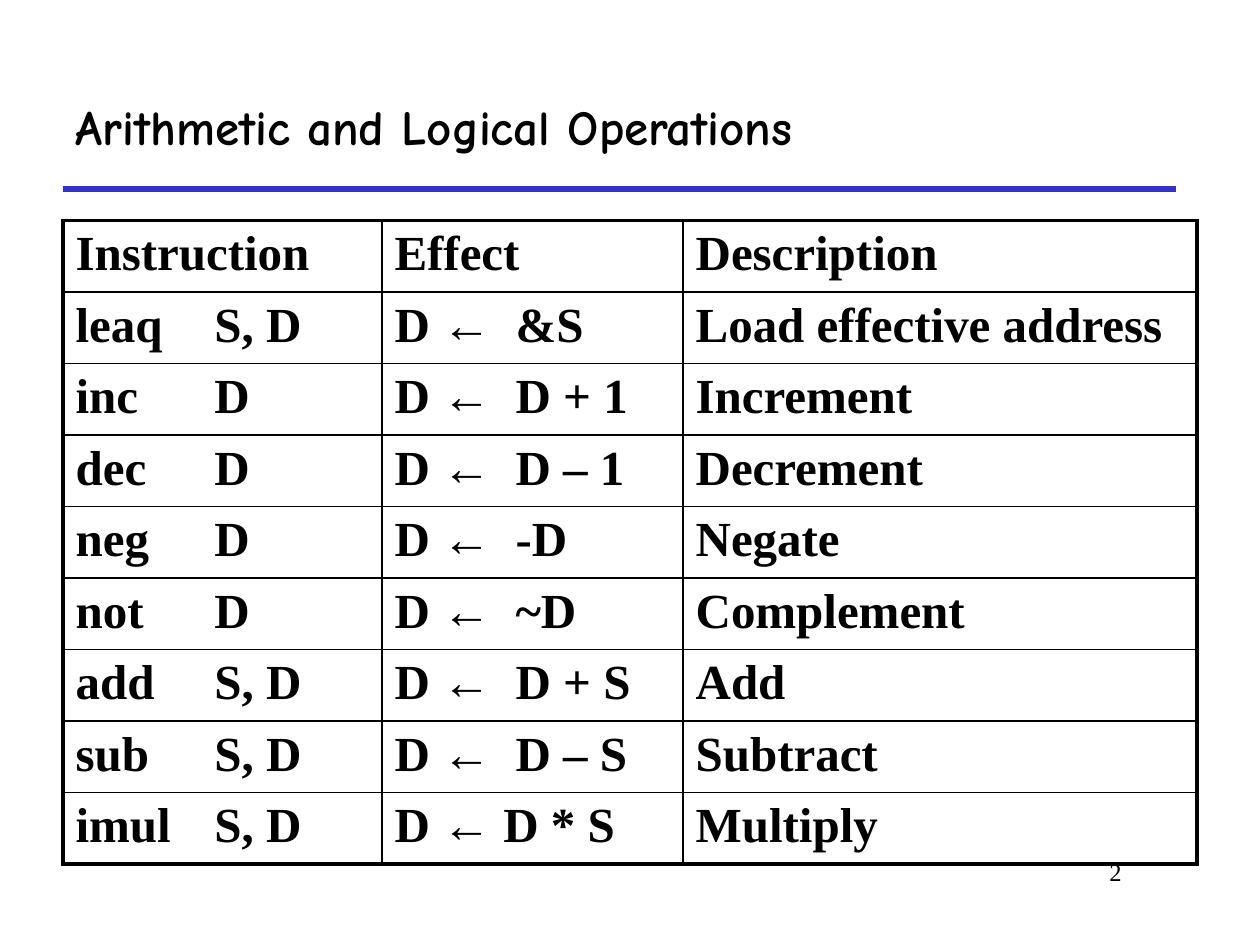
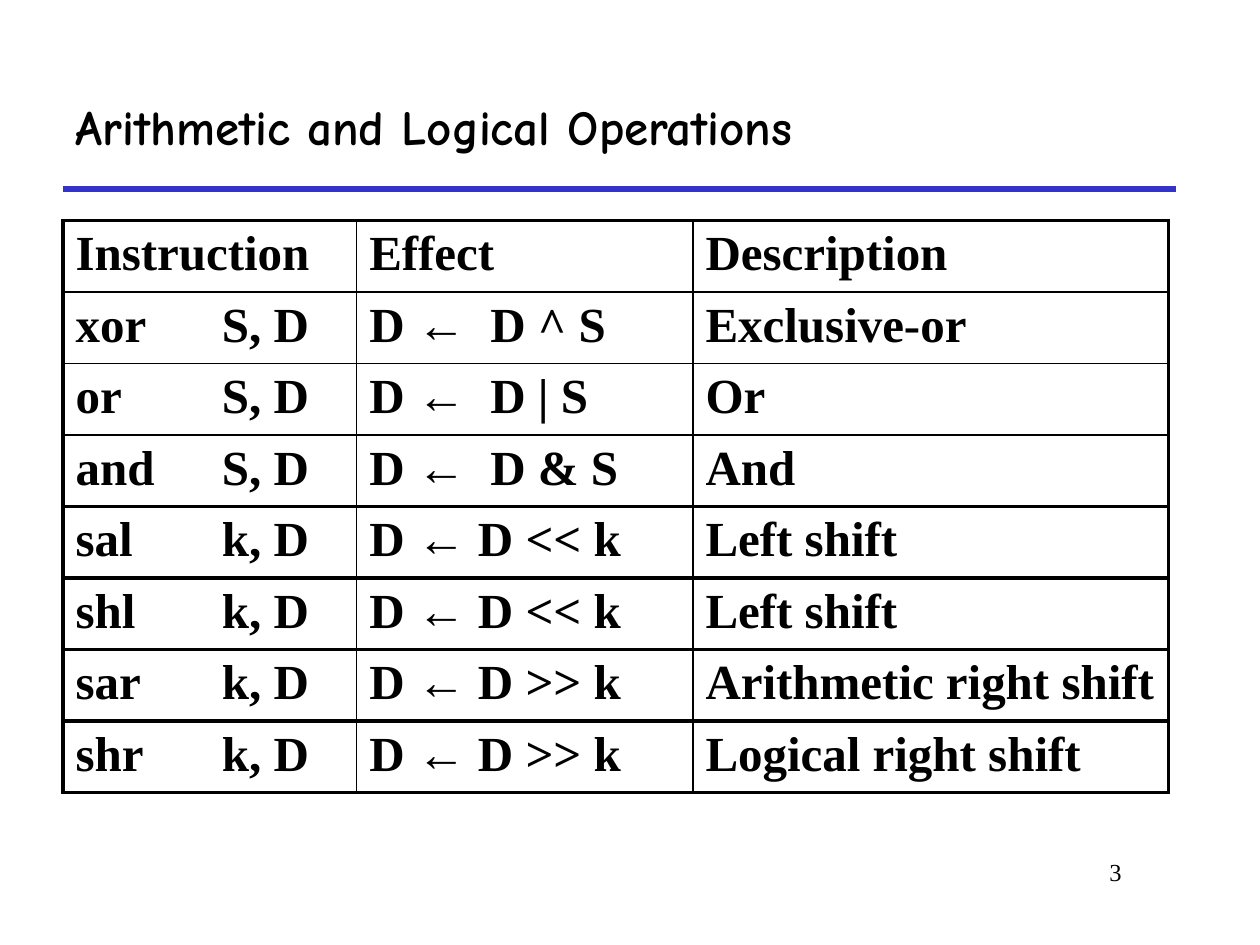
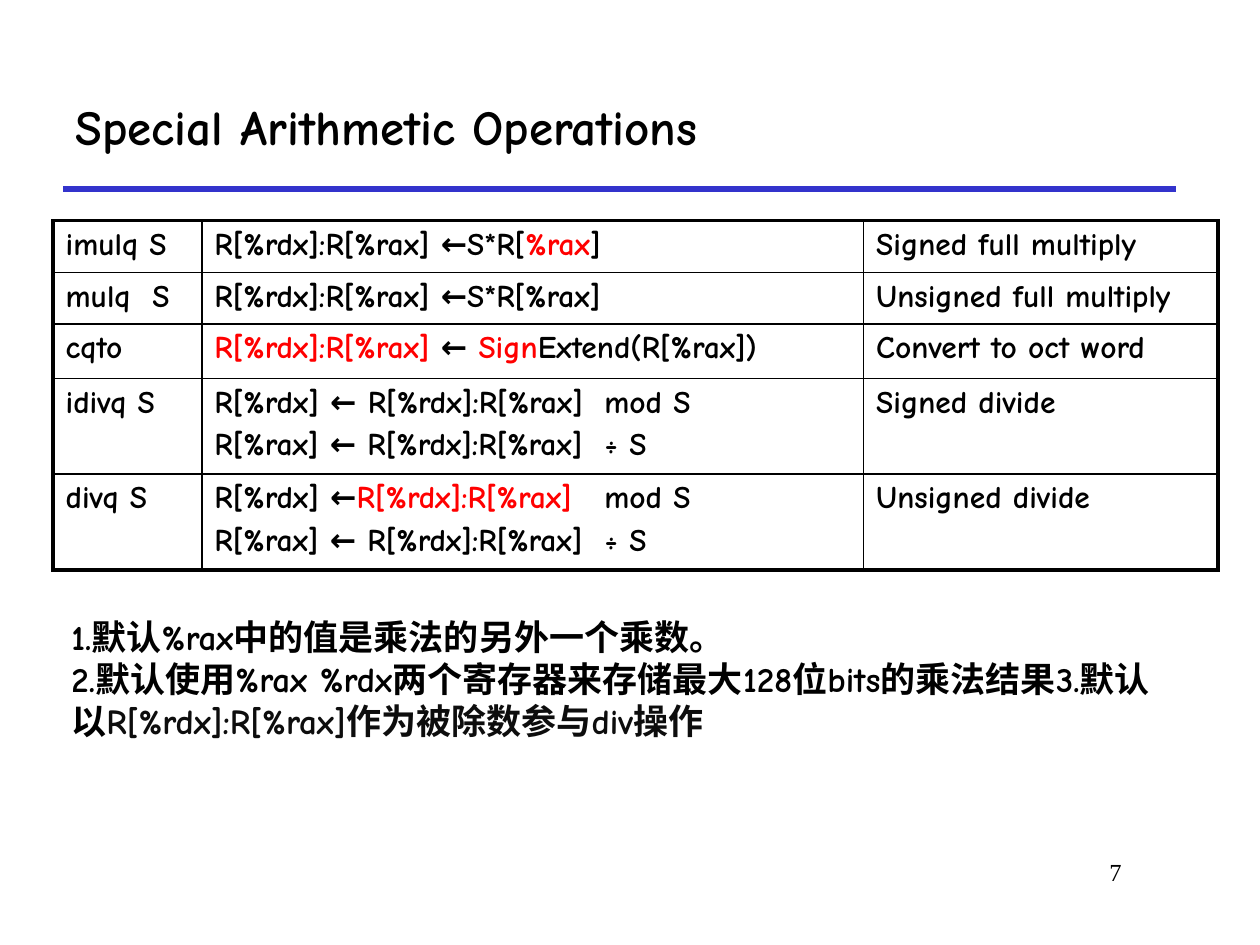
"""Build three slides on arithmetic and logical machine instructions."""
from dataclasses import dataclass

from lxml import etree
from pptx import Presentation
from pptx.dml.color import RGBColor
from pptx.enum.shapes import MSO_CONNECTOR
from pptx.enum.text import MSO_ANCHOR, MSO_AUTO_SIZE, PP_ALIGN
from pptx.oxml.ns import qn
from pptx.util import Cm, Pt

STRAIGHT = MSO_CONNECTOR.STRAIGHT
MIDDLE = MSO_ANCHOR.MIDDLE
NO_FIT = MSO_AUTO_SIZE.NONE
LEFT, RIGHT = PP_ALIGN.LEFT, PP_ALIGN.RIGHT
TITLE_ONLY = 5


@dataclass(frozen=True)
class Theme:
    ink: str = "000000"
    soft_ink: str = "0D0D0D"
    accent: str = "FF0000"
    rule: str = "3333CC"
    casual: str = "Comic Neue"
    serif: str = "Times New Roman"
    title_size: float = 28
    table_size: float = 28
    small_table_size: float = 18
    note_size: float = 20
    number_size: float = 14
    rule_width: float = 3
    heavy: float = 2.25
    thin: float = 1


THEME = Theme()


class SlideBuilder:
    def __init__(self, theme):
        self.theme = theme
        self.deck = Presentation()
        self.deck.slide_width, self.deck.slide_height = Cm(25.4), Cm(19.05)
        self.page = None

    def start_page(self, title, number):
        theme = self.theme
        self.page = self.deck.slides.add_slide(self.deck.slide_layouts[TITLE_ONLY])
        box = self.page.shapes.title
        box.left, box.top, box.width, box.height = Cm(1.27), Cm(1.27), Cm(22.43), Cm(2.54)
        frame = box.text_frame
        frame.vertical_anchor, frame.auto_size = MIDDLE, NO_FIT
        self.fill_text(frame, [title], theme.casual, theme.title_size)
        self.rule()
        self.text_box((19.25, 17.15, 3.61, 1.27), [number], theme.serif,
                      theme.number_size, bold=False, align=RIGHT)

    def rule(self):
        line = self.page.shapes.add_connector(STRAIGHT, Cm(1.27), Cm(3.81), Cm(23.7), Cm(3.81))
        line.line.color.rgb = RGBColor.from_string(self.theme.rule)
        line.line.width = Pt(self.theme.rule_width)
        etree.SubElement(line._element.spPr, qn("a:effectLst"))

    def text_box(self, place, paragraphs, font, size, bold=True, align=LEFT):
        box = self.page.shapes.add_textbox(*map(Cm, place))
        box.text_frame.word_wrap = True
        self.fill_text(box.text_frame, paragraphs, font, size, bold, align)

    def fill_text(self, frame, paragraphs, font, size, bold=True, align=LEFT, gap=0, tab=None):
        for index, spans in enumerate(paragraphs):
            para = frame.add_paragraph() if index else frame.paragraphs[0]
            para.alignment = align
            if index and gap:
                para.space_before = Pt(gap)
            if isinstance(spans, str):
                spans = [(spans, self.theme.ink)]
            if tab and any("\t" in text for text, _ in spans):
                self.set_tab(para, tab)
            for text, color in spans:
                span = para.add_run()
                span.text = text
                span.font.name, span.font.size, span.font.bold = font, Pt(size), bold
                span.font.color.rgb = RGBColor.from_string(color)

    def set_tab(self, para, position):
        stops = etree.SubElement(para._p.get_or_add_pPr(), qn("a:tabLst"))
        etree.SubElement(stops, qn("a:tab"), pos=str(Cm(position)), algn="l")

    def table(self, left, widths, heights, rows, font, size, tabs, heavy_rules=()):
        theme = self.theme
        last_row, last_column = len(rows), len(widths)
        heavy_rules = {0, last_row, *heavy_rules}
        grid = self.page.shapes.add_table(last_row, last_column, Cm(left), Cm(4.45),
                                          Cm(sum(widths)), Cm(sum(heights))).table
        grid.first_row = grid.horz_banding = False
        for column, width in zip(grid.columns, widths):
            column.width = Cm(width)
        for row, height in zip(grid.rows, heights):
            row.height = Cm(height)
        for r, values in enumerate(rows):
            for c, value in enumerate(values):
                cell = grid.cell(r, c)
                paragraphs = [value] if isinstance(value, str) else value
                self.fill_text(cell.text_frame, paragraphs, font, size, gap=size / 5, tab=tabs[c])
                edges = {"lnL": c == 0, "lnR": c + 1 == last_column,
                         "lnT": r in heavy_rules, "lnB": r + 1 in heavy_rules}
                for edge, is_heavy in edges.items():
                    self.border(cell, edge, theme.heavy if is_heavy else theme.thin)
                cell.fill.background()

    def border(self, cell, edge, width):
        line = etree.SubElement(cell._tc.get_or_add_tcPr(), qn(f"a:{edge}"), w=str(Pt(width)))
        fill = etree.SubElement(line, qn("a:solidFill"))
        etree.SubElement(fill, qn("a:srgbClr"), val=self.theme.ink)

    def operations_page(self, number, widths, rows, operand_tab, heavy_rules=()):
        self.start_page("Arithmetic and Logical Operations", number)
        rows = [("Instruction", "Effect", "Description"), *rows]
        self.table(1.27, widths, [1.44] * len(rows), rows, self.theme.serif,
                   self.theme.table_size, (operand_tab, 2.44, None), heavy_rules)


BASIC_OPERATIONS = [
    ("leaq\tS, D", "D ←\t&S", "Load effective address"),
    ("inc\tD", "D ←\tD + 1", "Increment"),
    ("dec\tD", "D ←\tD – 1", "Decrement"),
    ("neg\tD", "D ←\t-D", "Negate"),
    ("not\tD", "D ←\t~D", "Complement"),
    ("add\tS, D", "D ←\tD + S", "Add"),
    ("sub\tS, D", "D ←\tD – S", "Subtract"),
    ("imul\tS, D", "D ← D * S", "Multiply"),
]
LOGIC_AND_SHIFTS = [
    ("xor\tS, D", "D ←\tD ^ S", "Exclusive-or"),
    ("or\tS, D", "D ←\tD | S", "Or"),
    ("and\tS, D", "D ←\tD & S", "And"),
    ("sal\tk, D", "D ← D << k", "Left shift"),
    ("shl\tk, D", "D ← D << k", "Left shift"),
    ("sar\tk, D", "D ← D >> k", "Arithmetic right shift"),
    ("shr\tk, D", "D ← D >> k", "Logical right shift"),
]
INK, RED = THEME.ink, THEME.accent
PAIR = "R[%rdx]:R[%rax]"
QUOTIENT = f"R[%rax] ← {PAIR}\t÷ S"
SPECIAL_OPERATIONS = [
    ("imulq S", [[(f"{PAIR} ←S*R[", INK), ("%rax", RED), ("]", INK)]], "Signed full multiply"),
    ("mulq\tS", f"{PAIR} ←S*R[%rax]", "Unsigned full multiply"),
    ("cqto", [[(f"{PAIR} ", RED), ("← ", INK), ("Sign", RED), ("Extend(R[%rax])", INK)]],
     "Convert to oct word"),
    ("idivq S", [f"R[%rdx] ← {PAIR}\tmod S", QUOTIENT], "Signed divide"),
    ("divq S", [[("R[%rdx] ←", INK), (PAIR, RED), ("\tmod S", INK)], QUOTIENT],
     "Unsigned divide"),
]
NOTES = [
    "1.默认%rax中的值是乘法的另外一个乘数。",
    [("2.默认使用%rax %rdx两个寄存器来存储最大128位bits的乘法结果3.默认以", INK),
     (f"{PAIR}作为被除数参与div操作", THEME.soft_ink)],
]


def main():
    builder = SlideBuilder(THEME)
    builder.operations_page("2", (6.43, 6.07, 10.36), BASIC_OPERATIONS, 2.8)
    builder.operations_page("3", (5.92, 6.78, 9.58), LOGIC_AND_SHIFTS, 2.95, range(4, 8))
    builder.start_page("Special Arithmetic Operations", "7")
    builder.table(1.07, (3, 13.34, 7.14), (1.04, 1.04, 1.1, 1.93, 1.93), SPECIAL_OPERATIONS,
                  THEME.casual, THEME.small_table_size, (1.75, 7.86, None))
    builder.text_box((1.19, 12.29, 22.3, 2.82), NOTES, THEME.casual, THEME.note_size)
    builder.deck.save("out.pptx")


if __name__ == "__main__":
    main()
